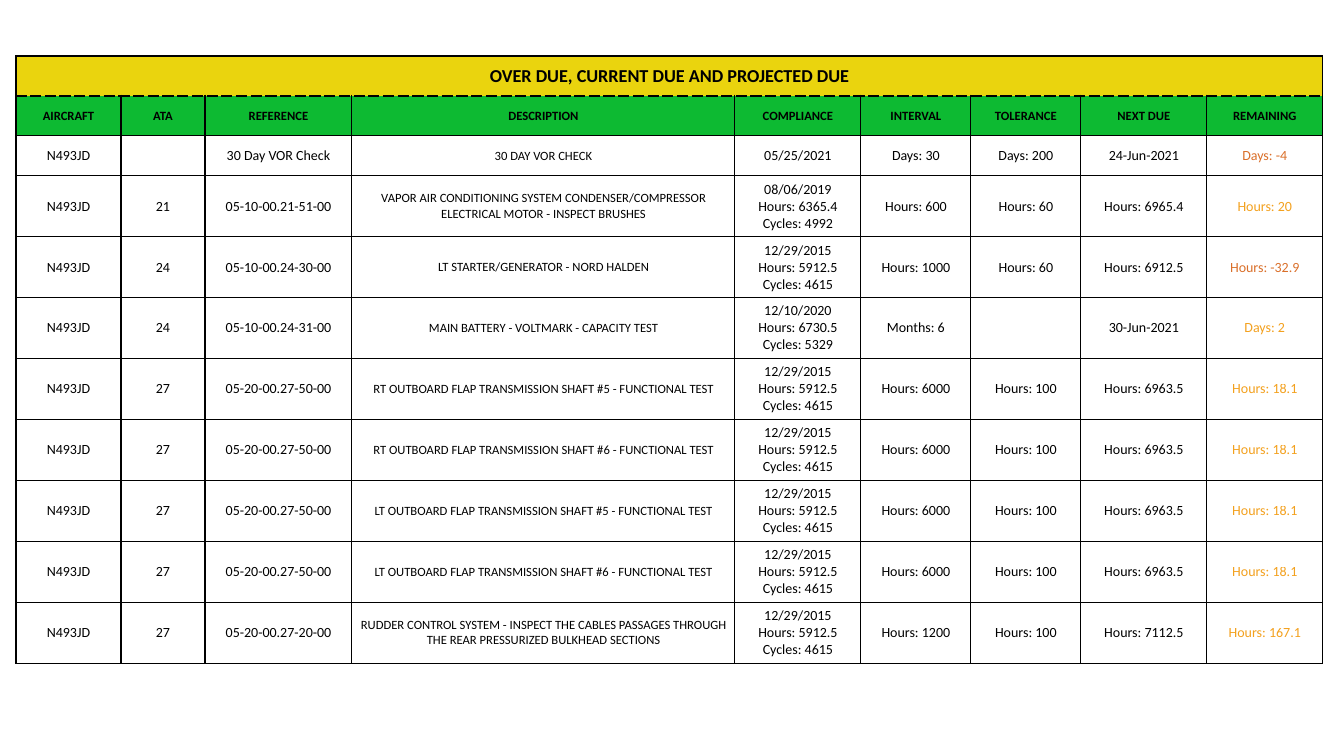
from dataclasses import dataclass

from lxml import etree
from pptx import Presentation
from pptx.dml import color
from pptx.enum import text
from pptx.oxml import ns
from pptx.util import Pt

PX = 9071


@dataclass(frozen=True)
class Theme:
    font: str = "Calibri"
    ink: str = "000000"
    paper: str = "FFFFFF"
    banner: str = "EAD40E"
    header: str = "0DBA32"
    overdue: str = "D35400"
    upcoming: str = "F39C12"
    banner_size: int = 13
    body_size: int = 10
    small_size: int = 9


THEME = Theme()
OPACITY = {THEME.banner: 92, THEME.overdue: 83, THEME.upcoming: 95}
COLUMN_WIDTHS = [105, 84, 147, 383, 126, 110, 110, 126, 116]
ROW_HEIGHT = 40
BANNER = "OVER DUE, CURRENT DUE AND PROJECTED DUE"
HEADINGS = ["AIRCRAFT", "ATA", "REFERENCE", "DESCRIPTION", "COMPLIANCE",
            "INTERVAL", "TOLERANCE", "NEXT DUE", "REMAINING"]
REFERENCE, DESCRIPTION, REMAINING = 2, 3, 8
AIRCRAFT = "N493JD"
LAST_FLAP_CHECK = "12/29/2015 Hours: 5912.5 Cycles: 4615"


def flap_shaft(side, number):
    return ("27", "05-20-00.27-50-00",
            f"{side} OUTBOARD FLAP TRANSMISSION SHAFT #{number} - FUNCTIONAL TEST",
            LAST_FLAP_CHECK, "Hours: 6000", "Hours: 100", "Hours: 6963.5", "Hours: 18.1")


TASKS = [
    ("", "30 Day VOR Check", "30 DAY VOR CHECK", "05/25/2021",
     "Days: 30", "Days: 200", "24-Jun-2021", "Days: -4"),
    ("21", "05-10-00.21-51-00",
     "VAPOR AIR CONDITIONING SYSTEM CONDENSER/COMPRESSOR ELECTRICAL MOTOR - INSPECT BRUSHES",
     "08/06/2019 Hours: 6365.4 Cycles: 4992",
     "Hours: 600", "Hours: 60", "Hours: 6965.4", "Hours: 20"),
    ("24", "05-10-00.24-30-00", "LT STARTER/GENERATOR - NORD HALDEN", LAST_FLAP_CHECK,
     "Hours: 1000", "Hours: 60", "Hours: 6912.5", "Hours: -32.9"),
    ("24", "05-10-00.24-31-00", "MAIN BATTERY - VOLTMARK - CAPACITY TEST",
     "12/10/2020 Hours: 6730.5 Cycles: 5329",
     "Months: 6", "", "30-Jun-2021", "Days: 2"),
    *(flap_shaft(side, number) for side in ("RT", "LT") for number in (5, 6)),
    ("27", "05-20-00.27-20-00",
     "RUDDER CONTROL SYSTEM - INSPECT THE CABLES PASSAGES THROUGH "
     "THE REAR PRESSURIZED BULKHEAD SECTIONS",
     LAST_FLAP_CHECK, "Hours: 1200", "Hours: 100", "Hours: 7112.5", "Hours: 167.1"),
]


def apply(target, values):
    for name, value in values.items():
        setattr(target, name, value)


def paint(fill, tone):
    fill.solid()
    fill.fore_color.rgb = color.RGBColor.from_string(tone)
    if tone in OPACITY:
        swatch = next(fill._xPr.iter(ns.qn("a:srgbClr")))
        etree.SubElement(swatch, ns.qn("a:alpha"), val=str(OPACITY[tone] * 1000))


def set_borders(cell, **changes):
    edges = dict.fromkeys("LRTB", (THEME.ink, 1, "solid")) | changes
    properties = cell._tc.get_or_add_tcPr()
    for side, (tone, width, dash) in edges.items():
        edge = etree.SubElement(properties, ns.qn(f"a:ln{side}"), w=str(Pt(width)))
        stroke = etree.SubElement(edge, ns.qn("a:solidFill"))
        etree.SubElement(stroke, ns.qn("a:srgbClr"), val=tone)
        etree.SubElement(edge, ns.qn("a:prstDash"), val=dash)


def set_fill(cell, tone=None):
    if tone:
        paint(cell.fill, tone)
    else:
        cell.fill.background()


def write(cell, wording, size, tone=THEME.ink, bold=False, inset=5, indent=5):
    side, edge = (inset, inset) if indent else (0, inset)
    apply(cell, {
        "margin_left": side * PX, "margin_right": side * PX,
        "margin_top": edge * PX, "margin_bottom": edge * PX,
        "vertical_anchor": text.MSO_ANCHOR.MIDDLE,
    })
    paragraph = cell.text_frame.paragraphs[0]
    paragraph.alignment = text.PP_ALIGN.CENTER
    if not wording:
        paragraph.font.size = Pt(size)
        return
    for name in ("marL", "marR"):
        paragraph._p.get_or_add_pPr().set(name, str(indent * PX))
    run = paragraph.add_run()
    run.text = wording
    apply(run.font, {"name": THEME.font, "size": Pt(size), "bold": bold})
    paint(run.font.fill, tone)


def add_grid(slide):
    rows = len(TASKS) + 3
    frame = slide.shapes.add_table(rows, len(COLUMN_WIDTHS), 16 * PX, 16 * PX,
                                   sum(COLUMN_WIDTHS) * PX, rows * ROW_HEIGHT * PX)
    grid = frame.table
    apply(grid, {"first_row": False, "horz_banding": False})
    for column, width in zip(grid.columns, COLUMN_WIDTHS):
        column.width = width * PX
    for row in grid.rows:
        row.height = ROW_HEIGHT * PX
    return grid


def fill_banner(spacer_row, banner_row):
    blank = (THEME.paper, 1, "solid")
    for cell in spacer_row.cells:
        set_borders(cell, L=blank, R=blank, T=blank)
        set_fill(cell)
        write(cell, "", THEME.body_size)
    for cell in banner_row.cells:
        set_borders(cell, B=(THEME.ink, 1, "dash"))
        set_fill(cell, THEME.banner)
    title = banner_row.cells[0]
    title.merge(banner_row.cells[len(COLUMN_WIDTHS) - 1])
    write(title, BANNER, THEME.banner_size, bold=True, inset=8, indent=0)


def fill_headings(row):
    for cell, heading in zip(row.cells, HEADINGS):
        set_borders(cell, T=(THEME.ink, 2, "dash"))
        set_fill(cell, THEME.header)
        write(cell, heading, THEME.small_size, bold=True)


def fill_task(row, task):
    for column, (cell, wording) in enumerate(zip(row.cells, (AIRCRAFT, *task))):
        set_borders(cell)
        set_fill(cell)
        tone = THEME.ink
        if column == REMAINING:
            tone = THEME.overdue if "-" in wording else THEME.upcoming
        size = THEME.small_size if column == DESCRIPTION else THEME.body_size
        space = 1 if column in (REFERENCE, DESCRIPTION) else 5
        write(cell, wording, size, tone, inset=space, indent=space)


def main():
    deck = Presentation()
    apply(deck, {"slide_width": 1344 * PX, "slide_height": 735 * PX})
    slide = deck.slides.add_slide(deck.slide_layouts.get_by_name("Blank"))
    spacer, banner, headings, *tasks = add_grid(slide).rows
    fill_banner(spacer, banner)
    fill_headings(headings)
    for row, task in zip(tasks, TASKS):
        fill_task(row, task)
    deck.save("out.pptx")


if __name__ == "__main__":
    main()
